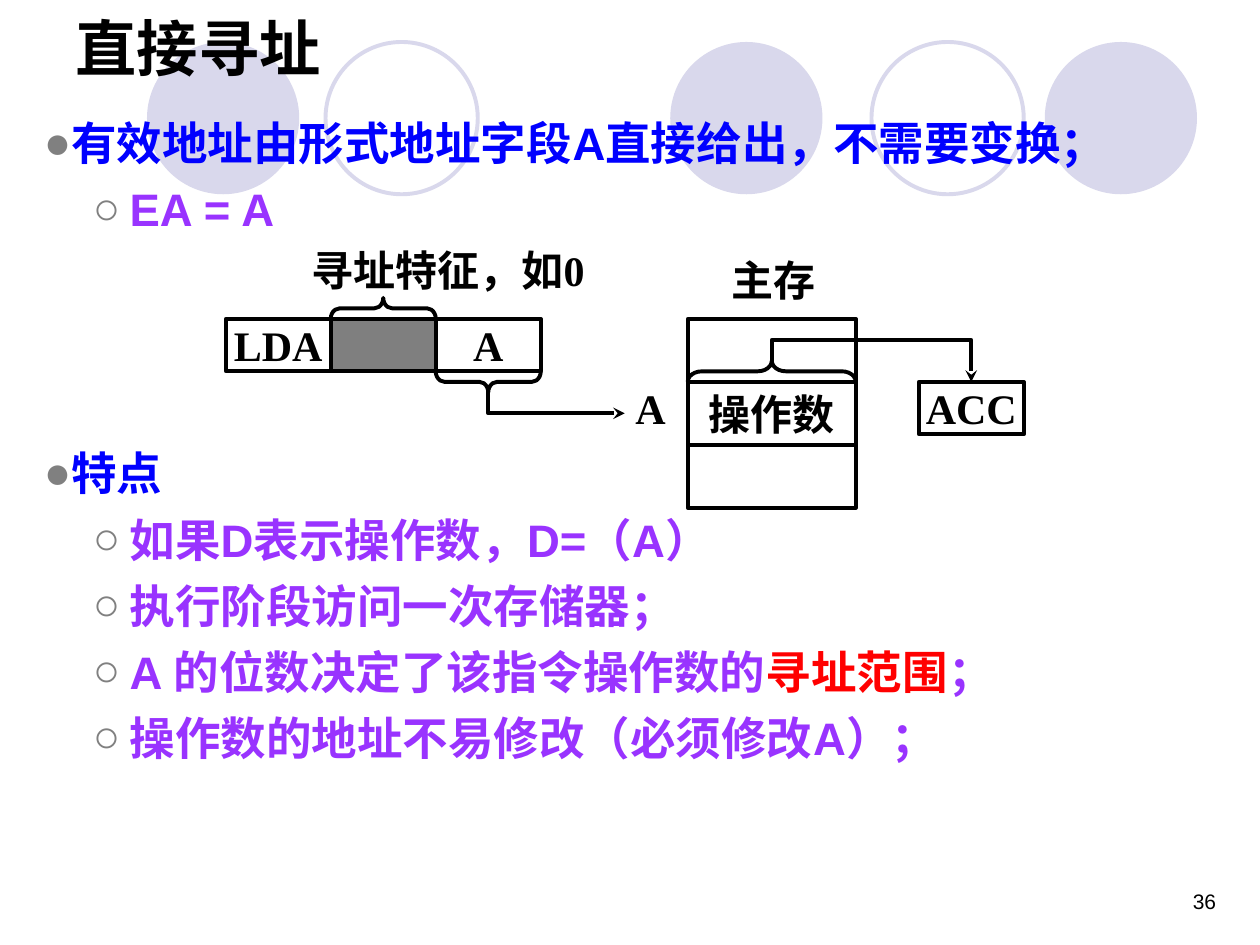
from lxml import etree
from pptx import Presentation
from pptx.dml.color import RGBColor
from pptx.enum.shapes import MSO_SHAPE
from pptx.enum.text import MSO_ANCHOR, PP_ALIGN
from pptx.oxml.ns import qn
from pptx.util import Pt

LEFT, CENTER, RIGHT = PP_ALIGN.LEFT, PP_ALIGN.CENTER, PP_ALIGN.RIGHT
MIDDLE = MSO_ANCHOR.MIDDLE
RECTANGLE, OVAL, BRACE = MSO_SHAPE.RECTANGLE, MSO_SHAPE.OVAL, MSO_SHAPE.LEFT_BRACE

SANS, SERIF = "Arial", "Times New Roman"
BLACK, GRAY, LILAC = "000000", "808080", "D9D8EC"
BLUE, PURPLE, RED = "0000FF", "9933FF", "FF0000"
STROKE = 2.25

# level: bullet, left margin, hanging indent
BULLETS = {0: ("●", 13.5, 13.5), 1: ("○", 49, 21)}

DEFINITION = [
    (0, [("有效地址由形式地址字段A直接给出，不需要变换；", BLUE)]),
    (1, [("EA = A", PURPLE)]),
]
FEATURES = [
    (0, [("特点", BLUE)]),
    (1, [("如果D表示操作数，D=（A）", PURPLE)]),
    (1, [("执行阶段访问一次存储器；", PURPLE)]),
    (1, [("A 的位数决定了该指令操作数的", PURPLE), ("寻址范围", RED), ("；", PURPLE)]),
    (1, [("操作数的地址不易修改（必须修改A）；", PURPLE)]),
]


def rgb(color):
    return RGBColor.from_string(color)


def add_run(paragraph, text, size, font, color=BLACK, bold=True):
    run = paragraph.add_run()
    run.text = text
    run.font.size = Pt(size)
    run.font.name = font
    run.font.bold = bold
    run.font.color.rgb = rgb(color)


def style(shape, fill=None, line=BLACK):
    shape.shadow.inherit = False
    if fill:
        shape.fill.solid()
        shape.fill.fore_color.rgb = rgb(fill)
    else:
        shape.fill.background()
    if line:
        shape.line.color.rgb = rgb(line)
        shape.line.width = Pt(STROKE)
    else:
        shape.line.fill.background()


def add_outline(slide, kind, left, top, width, height, fill=None, line=BLACK):
    shape = slide.shapes.add_shape(kind, Pt(left), Pt(top), Pt(width), Pt(height))
    style(shape, fill, line)
    return shape


def add_cell(slide, left, top, width, height, text="", fill=None):
    cell = add_outline(slide, RECTANGLE, left, top, width, height, fill)
    if text:
        cell.text_frame.word_wrap = False
        cell.text_frame.vertical_anchor = MIDDLE
        paragraph = cell.text_frame.paragraphs[0]
        paragraph.alignment = CENTER
        add_run(paragraph, text, 24, SERIF)
    return cell


def add_label(slide, left, top, width, text, size=24, font=SERIF, bold=True,
              align=LEFT, wrap=False):
    label = slide.shapes.add_textbox(Pt(left), Pt(top), Pt(width), Pt(36))
    label.text_frame.word_wrap = wrap
    paragraph = label.text_frame.paragraphs[0]
    paragraph.alignment = align
    add_run(paragraph, text, size, font, bold=bold)


def add_brace(slide, left, top, span, curl, rotation):
    """Horizontal brace; left and top are those of the brace as seen."""
    depth = 12
    brace = add_outline(slide, BRACE, left + (span - depth) / 2,
                        top - (span - depth) / 2, depth, span)
    brace.adjustments[0] = curl
    brace.rotation = rotation


def add_bent_arrow(slide, *points):
    corners = [(Pt(x), Pt(y)) for x, y in points]
    builder = slide.shapes.build_freeform(*corners[0])
    builder.add_line_segments(corners[1:], close=False)
    arrow = builder.convert_to_shape()
    style(arrow)
    etree.SubElement(arrow.line._get_or_add_ln(), qn("a:tailEnd"), type="stealth")


def add_bullet(paragraph, level):
    mark, margin, hanging = BULLETS[level]
    properties = paragraph._p.get_or_add_pPr()
    properties.set("marL", str(Pt(margin)))
    properties.set("indent", str(-Pt(hanging)))
    color = etree.SubElement(properties, qn("a:buClr"))
    etree.SubElement(color, qn("a:srgbClr"), val=GRAY)
    etree.SubElement(properties, qn("a:buFont"), typeface=SANS)
    etree.SubElement(properties, qn("a:buChar"), char=mark)


def add_bullet_list(slide, left, top, width, height, items):
    box = slide.shapes.add_textbox(Pt(left), Pt(top), Pt(width), Pt(height))
    frame = box.text_frame
    frame.word_wrap = True
    for index, (level, runs) in enumerate(items):
        paragraph = frame.paragraphs[0] if index == 0 else frame.add_paragraph()
        paragraph.level = level
        add_bullet(paragraph, level)
        paragraph.line_spacing = 1.0
        paragraph.space_before = Pt(3.3 if index else 0)
        paragraph.space_after = Pt(3.3)
        for text, color in runs:
            add_run(paragraph, text, 26, SANS, color)


def add_backdrop(slide, top, diameter):
    for left in (383, 597, 84):
        add_outline(slide, OVAL, left, top, diameter, diameter, LILAC, None)
    for left in (498, 186):
        add_outline(slide, OVAL, left, top, diameter, diameter, None, LILAC)


def add_title(slide, left, top, width, height):
    title = slide.shapes.title
    title.left, title.top, title.width, title.height = map(Pt, (left, top, width, height))
    title.text_frame.vertical_anchor = MIDDLE
    paragraph = title.text_frame.paragraphs[0]
    paragraph.alignment = LEFT
    add_run(paragraph, "直接寻址", 35, SANS)
    slide.shapes._spTree.append(title._element)  # in front of the backdrop


def add_instruction(slide, left, top, width, height):
    field = width / 3
    add_cell(slide, left, top, field, height, "LDA")
    mode = add_cell(slide, left + field, top, field, height, fill=BLACK)
    shade = mode.fill._xPr.find(qn("a:solidFill"))[0]
    etree.SubElement(shade, qn("a:alpha"), val="50000")
    add_cell(slide, left + 2 * field, top, field, height, "A")
    add_brace(slide, left + field, top - 12, field, 0.42, 90)
    add_brace(slide, left + 2 * field, top + height, field, 0.42, 270)
    add_label(slide, left + 42, top - 46, 237, "寻址特征，如0", wrap=True)


def add_memory(slide, left, top, width, height):
    row = height / 3
    for index, text in enumerate(("", "操作数", "")):
        add_cell(slide, left, top + index * row, width, row, text)
    add_label(slide, left + 18, top - 40, 72, "主存", wrap=True)
    add_brace(slide, left, top + row - 12, width, 0.67, 90)


def add_addressing_diagram(slide, left, top):
    field, height = 60, 30
    row, memory_width = 36, 96
    memory = left + 264
    accumulator = left + 396
    operand = top + row
    add_memory(slide, memory, top, memory_width, 3 * row)
    add_instruction(slide, left, top, 3 * field, height)
    add_cell(slide, accumulator, operand, field, height, "ACC")

    address_x = left + 2.5 * field
    address_y = top + height + 24
    add_bent_arrow(slide, (address_x, top + height + 12), (address_x, address_y),
                   (memory - 36, address_y))
    add_label(slide, memory - 37, top + 33, 32, "A")

    operand_x = memory + memory_width / 2
    accumulator_x = accumulator + field / 2
    add_bent_arrow(slide, (operand_x, operand - 12), (operand_x, top + 12),
                   (accumulator_x, top + 12), (accumulator_x, operand))


def main():
    presentation = Presentation()
    presentation.slide_width, presentation.slide_height = Pt(720), Pt(540)
    slide = presentation.slides.add_slide(presentation.slide_layouts[5])
    add_backdrop(slide, 24, 87)
    add_label(slide, 534, 504, 168, "36", 12, SANS, False, RIGHT, True)
    add_bullet_list(slide, 18, 62.3, 690, 80, DEFINITION)
    add_bullet_list(slide, 18, 251, 690, 195, FEATURES)
    add_addressing_diagram(slide, 129, 182.2)
    add_title(slide, 36, -18, 648, 90)
    presentation.save("out.pptx")


if __name__ == "__main__":
    main()
